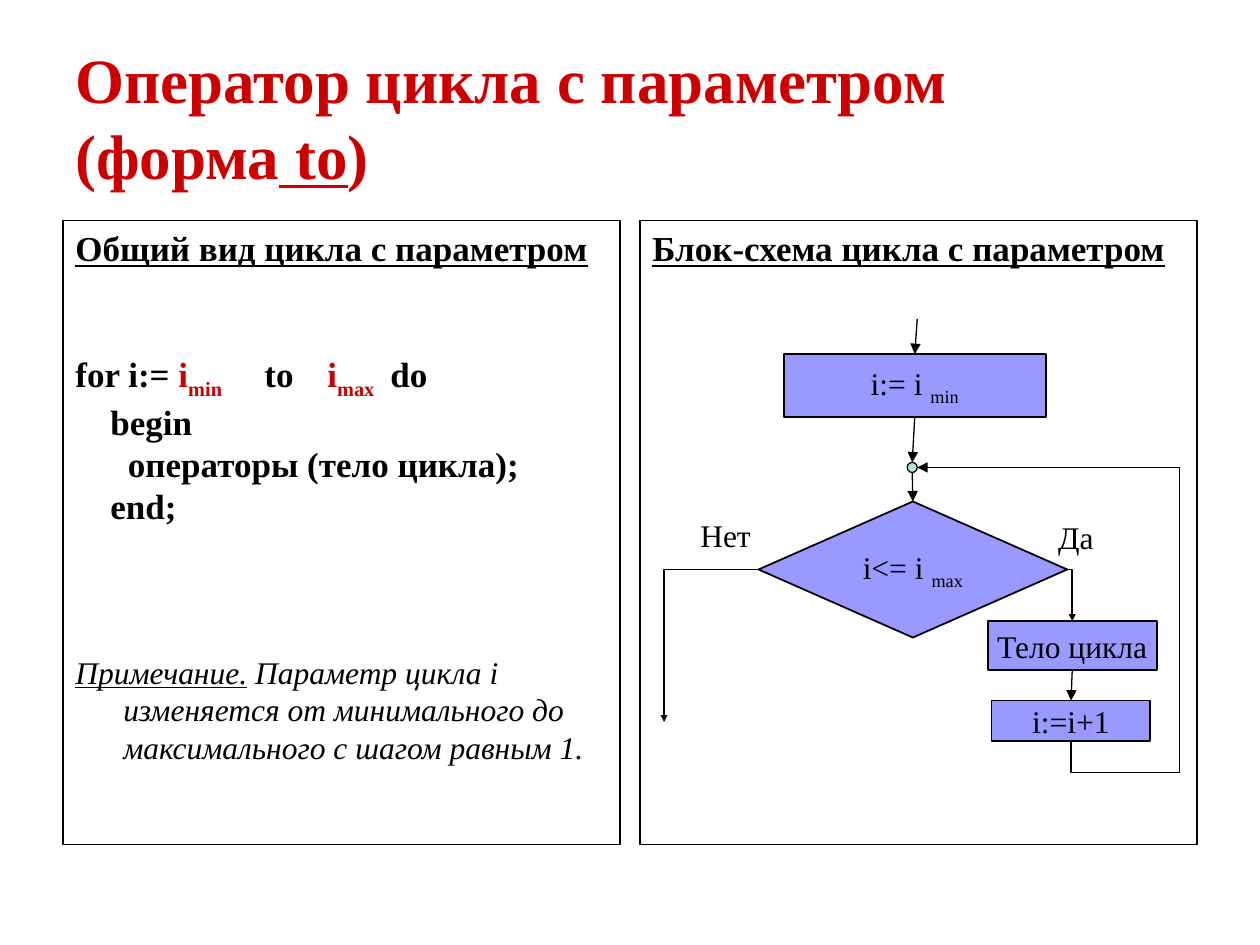
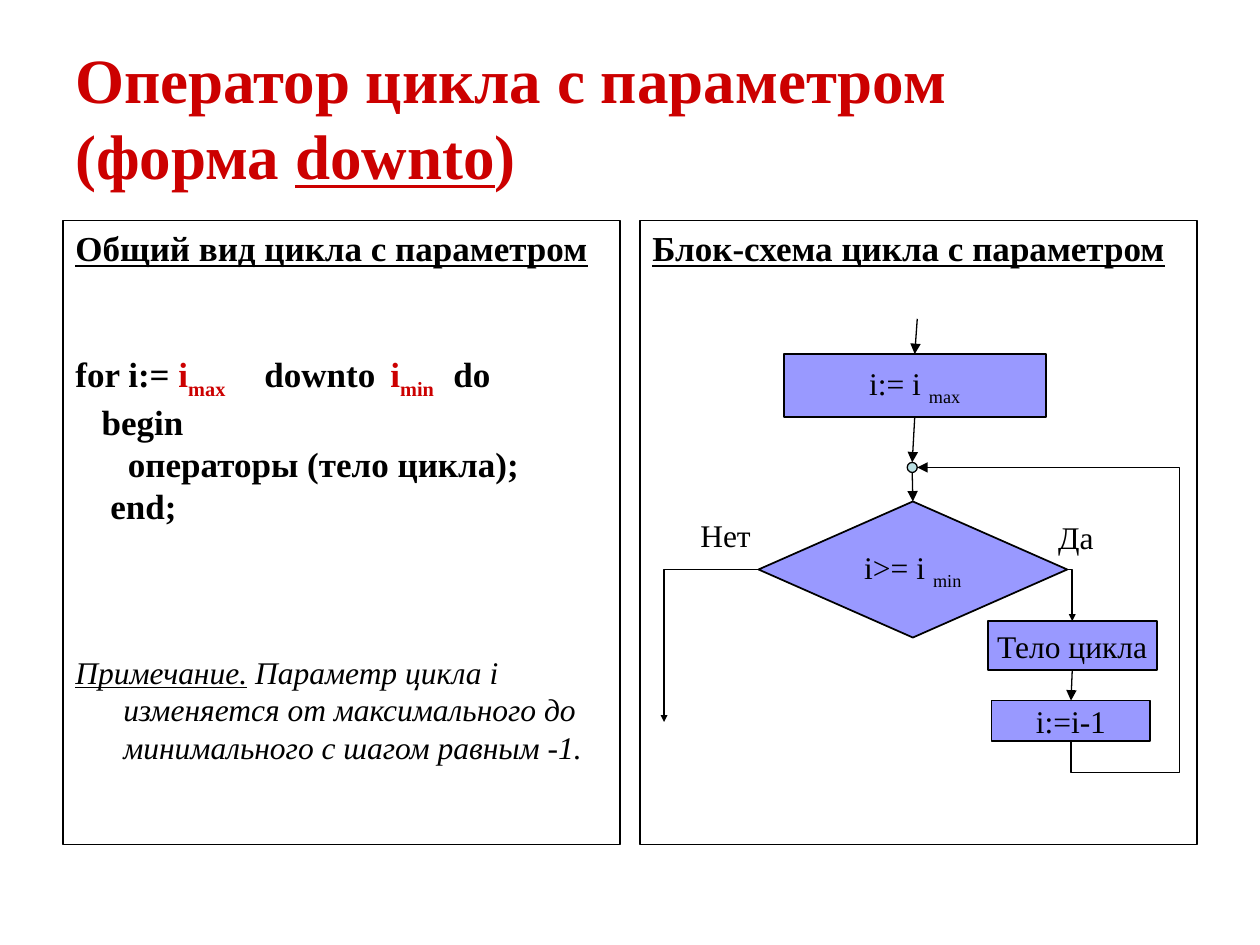
"""Build two slides on counted loops: the 'to' form and the 'downto' form."""
from dataclasses import dataclass

from lxml import etree
from pptx import Presentation
from pptx import util as u
from pptx.dml.color import RGBColor
from pptx.enum import shapes, text
from pptx.oxml.ns import qn

COLORS = {"accent": "CC0000", "ink": "000000", "block": "9999FF", "junction": "BBE0E3"}
FONT = "Times New Roman"
COLS, ROWS = 40, 30
WIDTH, HEIGHT = u.Inches(10), u.Inches(7.5)
LINE_20PT = 24
HANG = 1.52
TEXT_LEFT = 0.4
KIND = shapes.MSO_SHAPE
CENTER = text.PP_ALIGN.CENTER
MIDDLE = text.MSO_ANCHOR.MIDDLE


@dataclass(frozen=True)
class Box:
    left: float
    top: float
    width: float
    height: float

    def emu(self) -> tuple:
        return col(self.left), row(self.top), col(self.width), row(self.height)


@dataclass(frozen=True)
class Run:
    text: str
    color: str = "ink"
    bold: bool = False
    italic: bool = False
    underline: bool = False
    sub: bool = False


@dataclass(frozen=True)
class Para:
    runs: tuple
    size: float = 20
    margin: float = 0
    hang: float = 0
    before: float = 0
    tabs: tuple = ()


@dataclass(frozen=True)
class Block:
    kind: shapes.MSO_SHAPE
    box: Box


@dataclass(frozen=True)
class Loop:
    title_end: tuple
    keyword: str
    first: str
    last: str
    tabs: tuple
    begin_indent: float
    test: str
    step: str
    note: str


TITLE = Box(2, 1.2, 36, 5)
CODE_PANEL = Box(2, 7, 17.68, 19.8)
CHART_PANEL = Box(20.32, 7, 17.68, 19.8)
BLOCKS = {
    "init": Block(KIND.FLOWCHART_PROCESS, Box(24.88, 11.24, 8.32, 2)),
    "test": Block(KIND.FLOWCHART_DECISION, Box(24.08, 15.92, 9.8, 4.32)),
    "body": Block(KIND.FLOWCHART_PROCESS, Box(31.36, 19.72, 5.36, 1.56)),
    "step": Block(KIND.FLOWCHART_PROCESS, Box(31.48, 22.24, 5.04, 1.28)),
}
JUNCTION = Box(28.8, 14.68, 0.32, 0.32)
LABELS = {"Да": Box(33.2, 16.24, 6, 1.6), "Нет": Box(21.84, 16.2, 6, 1.6)}
ENTRY = (29.12, 10.12)
JUNCTION_BOTTOM = (28.96, 15)
YES_PATH = ((33.88, 18.08), (34.04, 18.08), (34.04, 19.72))
NO_PATH = ((24.08, 18.08), (21.08, 18.08), (21.08, 22.92))
BACK_PATH = ((34, 23.52), (34, 24.52), (37.44, 24.52), (37.44, 14.84), (29.12, 14.84))

LOOPS = (
    Loop((Run("(форма", "accent", True), Run(" to", "accent", True, underline=True)),
         "to", "min", "max", (5.5, 7.54, 9.86), 1.11, "<=", "i:=i+1",
         " Параметр цикла i изменяется от минимального до максимального с шагом равным 1."),
    Loop((Run("(форма ", "accent", True), Run("downto", "accent", True, underline=True)),
         "downto", "max", "min", (5.6, 10.24, 12.46), 0.83, ">=", "i:=i-1",
         " Параметр цикла i изменяется от максимального до минимального с шагом равным -1."),
)


def col(n: float) -> int:
    """Turn grid columns into a length."""
    return round(WIDTH * n / COLS)


def row(n: float) -> int:
    """Turn grid rows into a length."""
    return round(HEIGHT * n / ROWS)


def rgb(name: str) -> RGBColor:
    """Look a colour up by name."""
    return RGBColor.from_string(COLORS[name])


def write(sp, paras: tuple, align=None, anchor=text.MSO_ANCHOR.TOP, wrap: bool = True) -> None:
    """Fill a shape with formatted paragraphs."""
    tf = sp.text_frame
    tf.word_wrap = wrap
    tf.vertical_anchor = anchor
    for i, para in enumerate(paras):
        p = tf.add_paragraph() if i else tf.paragraphs[0]
        p.alignment = align or text.PP_ALIGN.LEFT
        p.space_before = u.Pt(para.before)
        pPr = p._p.get_or_add_pPr()
        pPr.set("marL", str(col(para.margin)))
        pPr.set("indent", str(-col(para.hang)))
        if para.tabs:
            tabs = etree.SubElement(pPr, qn("a:tabLst"))
            for stop in para.tabs:
                etree.SubElement(tabs, qn("a:tab"), pos=str(col(stop)), algn="l")
        for run in para.runs:
            if run.text == "\n":
                p.add_line_break()
                continue
            r = p.add_run()
            r.text = run.text
            f = r.font
            f.name, f.size, f.bold = FONT, u.Pt(para.size), run.bold
            f.italic, f.underline = run.italic, run.underline
            f.color.rgb = rgb(run.color)
            if run.sub:
                r._r.get_or_add_rPr().set("baseline", "-25000")


def add_label(s, box: Box, paras: tuple, anchor=text.MSO_ANCHOR.TOP) -> None:
    """Add a plain text box."""
    write(s.shapes.add_textbox(*box.emu()), paras, anchor=anchor)


def add_block(s, kind, box: Box, fill: str = "", weight: float = 0.75):
    """Add an outlined preset shape."""
    sp = s.shapes.add_shape(kind, *box.emu())
    sp.shadow.inherit = False
    if fill:
        sp.fill.solid()
        sp.fill.fore_color.rgb = rgb(fill)
    else:
        sp.fill.background()
    sp.line.color.rgb = rgb("ink")
    sp.line.width = u.Pt(weight)
    return sp


def add_head(sp, weight: float, size: str) -> None:
    """Draw the line of a flow and its arrowhead."""
    sp.line.color.rgb = rgb("ink")
    sp.line.width = u.Pt(weight)
    ln = sp._element.spPr.find(qn("a:ln"))
    etree.SubElement(ln, qn("a:tailEnd"), type="triangle", w=size, len=size)


def add_arrow(s, end, begin=None, start: tuple = (0, 0)) -> None:
    """Run a straight arrow down to the top of a block."""
    x, y = col(start[0]), row(start[1])
    cn = s.shapes.add_connector(shapes.MSO_CONNECTOR.STRAIGHT, x, y, x, y)
    if begin is not None:
        cn.begin_connect(begin, 2)
    cn.end_connect(end, 0)
    add_head(cn, 0.75, "med")
    etree.SubElement(cn._element.spPr, qn("a:effectLst"))


def add_path(s, points: tuple, weight: float, size: str) -> None:
    """Draw a flow with right-angled turns."""
    first, *rest = [(col(x), row(y)) for x, y in points]
    builder = s.shapes.build_freeform(*first)
    builder.add_line_segments(rest, close=False)
    sp = builder.convert_to_shape()
    sp.shadow.inherit = False
    sp.fill.background()
    add_head(sp, weight, size)


def heading(words: str) -> Para:
    """Make the underlined heading of a panel."""
    return Para((Run(words, bold=True, underline=True),), margin=HANG, hang=HANG)


def code_line(words: str, indent: float) -> Para:
    """Make an indented line of code."""
    return Para((Run(words, bold=True),), margin=indent)


def code_paras(loop: Loop) -> tuple:
    """Compose the general form of the loop and its note."""
    header = (
        Run("for i:= ", bold=True),
        Run("i", "accent", True), Run(loop.first, "accent", True, sub=True),
        Run(f"\t{loop.keyword}\t", bold=True),
        Run("i", "accent", True), Run(loop.last, "accent", True, sub=True),
        Run("\tdo", bold=True),
    )
    note = (Run("Примечание.", italic=True, underline=True), Run(loop.note, italic=True))
    return (
        heading("Общий вид цикла с параметром"),
        Para(header, before=2 * LINE_20PT, tabs=loop.tabs),
        code_line("begin", loop.begin_indent),
        code_line("операторы (тело цикла);", 1.67),
        code_line("end;", 1.11),
        Para(note, 18, HANG, HANG, before=3 * LINE_20PT),
    )


def draw_flowchart(s, loop: Loop) -> None:
    """Draw the blocks, labels and flows of the loop."""
    words = {
        "init": (Run("i:= i "), Run(loop.first, sub=True)),
        "test": (Run(f"i{loop.test} i "), Run(loop.last, sub=True)),
        "body": (Run("Тело цикла"),),
        "step": (Run(loop.step),),
    }
    sps = {}
    for name, block in BLOCKS.items():
        sps[name] = add_block(s, block.kind, block.box, "block", 1)
        write(sps[name], (Para(words[name], 18),), CENTER, MIDDLE, wrap=False)
    for word, box in LABELS.items():
        add_label(s, box, (Para((Run(word),), 18),))
    junction = add_block(s, KIND.FLOWCHART_CONNECTOR, JUNCTION, "junction")
    add_arrow(s, sps["init"], start=ENTRY)
    add_arrow(s, junction, sps["init"])
    add_arrow(s, sps["test"], start=JUNCTION_BOTTOM)
    add_arrow(s, sps["step"], sps["body"])
    add_path(s, YES_PATH, 1, "sm")
    add_path(s, NO_PATH, 1, "sm")
    add_path(s, BACK_PATH, 0.75, "med")


def draw_slide(prs, loop: Loop) -> None:
    """Add the slide of one loop form."""
    s = prs.slides.add_slide(prs.slide_layouts[6])
    title = (Run("Оператор цикла с параметром", "accent", True), Run("\n"),
             *loop.title_end, Run(")", "accent", True))
    add_label(s, TITLE, (Para(title, 36),), MIDDLE)
    write(add_block(s, KIND.RECTANGLE, CODE_PANEL), code_paras(loop))
    write(add_block(s, KIND.RECTANGLE, CHART_PANEL), (heading("Блок-схема цикла с параметром"),))
    draw_flowchart(s, loop)


def main() -> None:
    """Build and save the deck."""
    prs = Presentation()
    prs.slide_width, prs.slide_height = WIDTH, HEIGHT
    for loop in LOOPS:
        draw_slide(prs, loop)
    prs.save("out.pptx")


if __name__ == "__main__":
    main()
